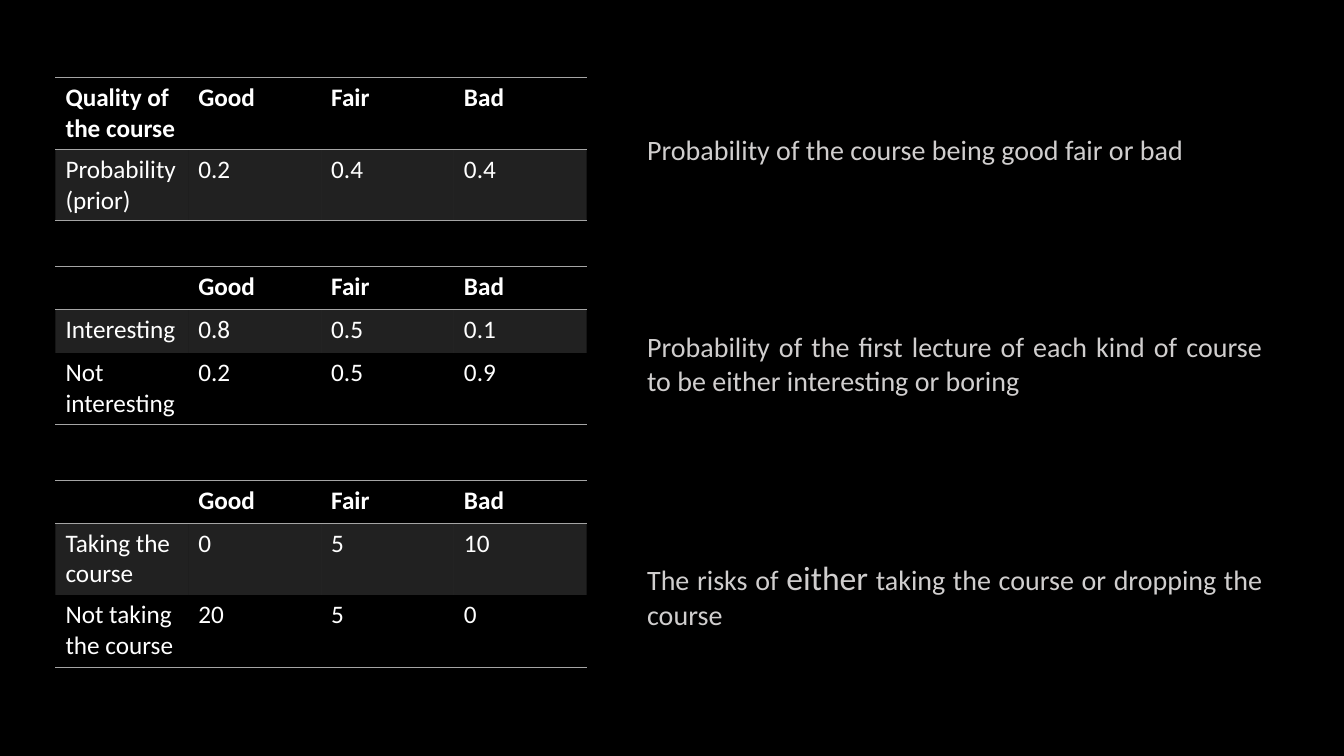
from lxml.etree import SubElement
from pptx import Presentation
from pptx.dml.color import RGBColor
from pptx.enum.text import MSO_AUTO_SIZE as AutoSize, PP_ALIGN as Align
from pptx.oxml.ns import qn
from pptx.util import Inches, Pt

FONT = "Calibri"
WHITE = "FFFFFF"
RULE_GREY = "A5A5A5"
CAPTION_GREY = "D0CECE"
GRADES = ["Good", "Fair", "Bad"]
TABLE_LEFT, COLUMN_WIDTH = 0.55, 1.3175
CAPTION_LEFT, CAPTION_WIDTH = 6.32, 6.3


def color(value):
    return RGBColor.from_string(value)


def format_run(run, size, value, bold=False):
    run.font.name = FONT
    run.font.size = Pt(size)
    run.font.bold = bold
    run.font.color.rgb = color(value)


def set_borders(cell, ruled_sides):
    properties = cell._tc.get_or_add_tcPr()
    for side in "LRTB":
        line = SubElement(properties, qn(f"a:ln{side}"), w=str(Pt(1)))
        if side in ruled_sides:
            fill = SubElement(line, qn("a:solidFill"))
            SubElement(fill, qn("a:srgbClr"), val=RULE_GREY)
        else:
            SubElement(line, qn("a:noFill"))


def shade(cell):
    cell.fill.solid()
    cell.fill.fore_color.rgb = color(RULE_GREY)
    tint = cell._tc.tcPr.find(qn("a:solidFill")).find(qn("a:srgbClr"))
    SubElement(tint, qn("a:alpha"), val="20000")


def fill_cell(cell, text, row, last_row):
    cell.text = text
    for run in cell.text_frame.paragraphs[0].runs:
        format_run(run, 18, WHITE, bold=row == 0)
    set_borders(cell, ("T" if row <= 1 else "") + ("B" if row in (0, last_row) else ""))
    if row == 1:
        shade(cell)
    else:
        cell.fill.background()


def add_grade_table(slide, top, heights, corner, body):
    rows = [[corner, *GRADES], *body]
    columns = len(rows[0])
    table = slide.shapes.add_table(
        len(rows), columns, Inches(TABLE_LEFT), Inches(top),
        Inches(COLUMN_WIDTH * columns), Inches(sum(heights))).table
    table.first_row = False
    table.horz_banding = False
    for column in table.columns:
        column.width = Inches(COLUMN_WIDTH)
    for row, (height, texts) in enumerate(zip(heights, rows)):
        table.rows[row].height = Inches(height)
        for column, text in enumerate(texts):
            fill_cell(table.cell(row, column), text, row, len(rows) - 1)


def add_caption(slide, top, height, parts):
    caption = slide.shapes.add_textbox(
        Inches(CAPTION_LEFT), Inches(top), Inches(CAPTION_WIDTH), Inches(height))
    frame = caption.text_frame
    frame.word_wrap = True
    frame.auto_size = AutoSize.SHAPE_TO_FIT_TEXT
    paragraph = frame.paragraphs[0]
    paragraph.alignment = Align.JUSTIFY
    for text, size in parts:
        run = paragraph.add_run()
        run.text = text
        format_run(run, size, CAPTION_GREY)


def main():
    deck = Presentation()
    deck.slide_width, deck.slide_height = Inches(13.33), Inches(7.5)
    slide = deck.slides.add_slide(deck.slide_layouts[6])
    slide.background.fill.solid()
    slide.background.fill.fore_color.rgb = color("000000")

    add_grade_table(slide, 0.77, [0.71, 0.71], "Quality of the course",
                    [["Probability (prior)", "0.2", "0.4", "0.4"]])
    add_grade_table(slide, 2.64, [0.43, 0.43, 0.71], "",
                    [["Interesting", "0.8", "0.5", "0.1"],
                     ["Not interesting", "0.2", "0.5", "0.9"]])
    add_grade_table(slide, 4.77, [0.42, 0.71, 0.72], "",
                    [["Taking the course", "0", "5", "10"],
                     ["Not taking the course", "20", "5", "0"]])

    add_caption(slide, 1.27, 0.44,
                [("Probability of the course being good fair or bad", 20)])
    add_caption(slide, 3.22, 0.77,
                [("Probability of the first lecture of each kind of course "
                  "to be either interesting or boring", 20)])
    add_caption(slide, 5.48, 0.84,
                [("The risks of ", 20), ("either", 24),
                 (" taking the course or dropping the course", 20)])
    deck.save("out.pptx")


if __name__ == "__main__":
    main()
